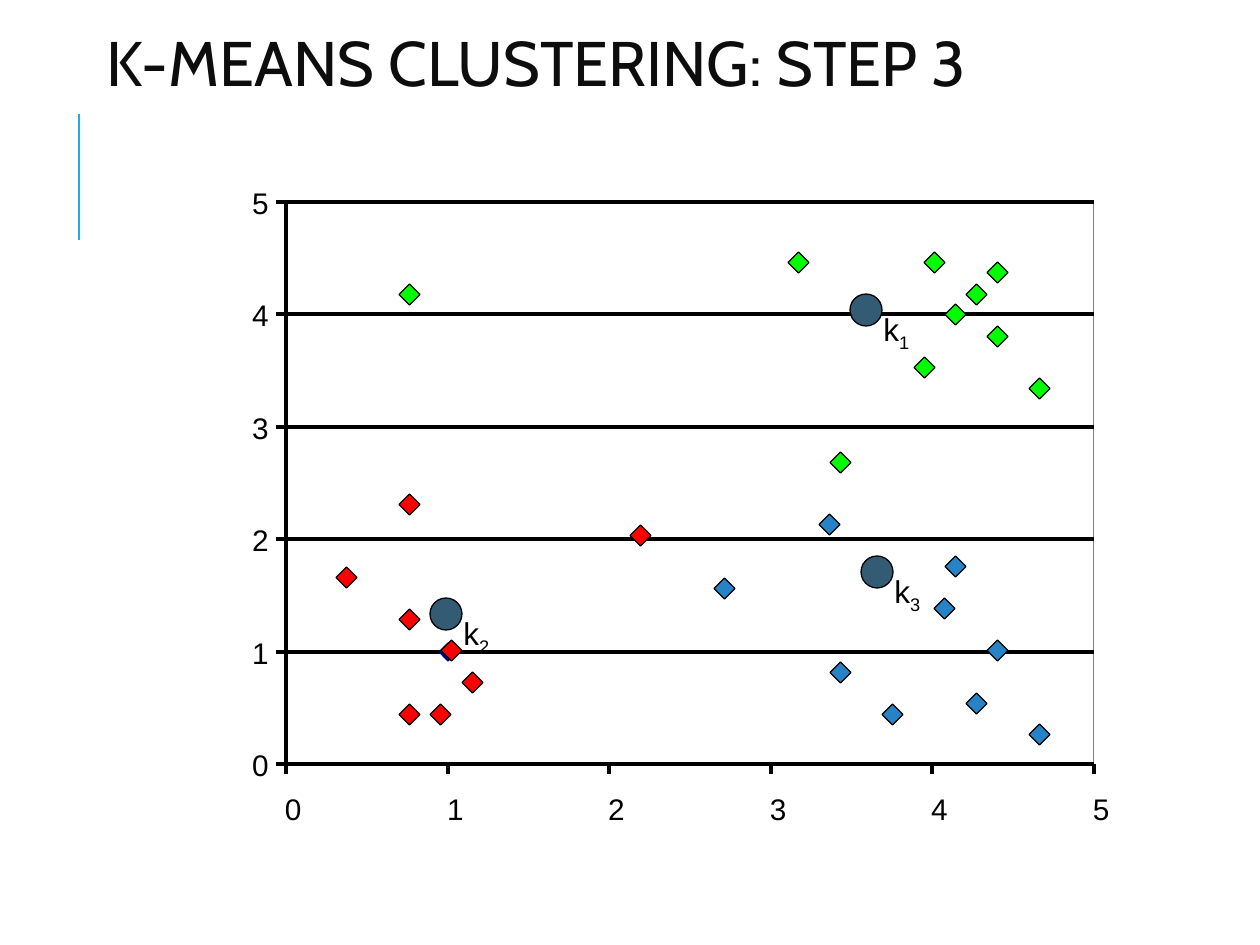
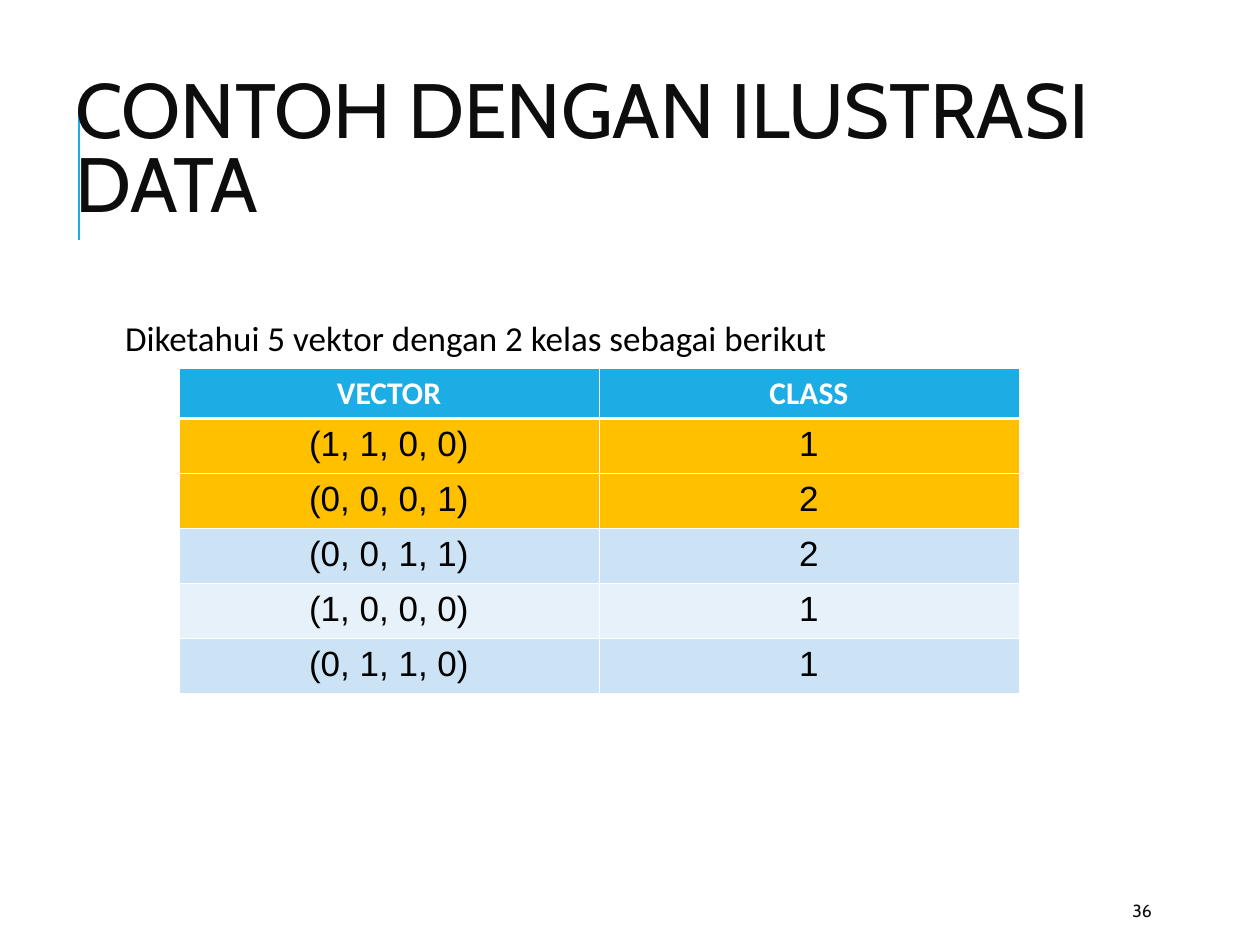
from lxml import etree
from pptx import Presentation
from pptx.dml.color import RGBColor
from pptx.enum import shapes as kinds, text
from pptx.oxml import ns
from pptx.util import Emu, Pt

BLACK = RGBColor(0, 0, 0)
WHITE = RGBColor(0xFF, 0xFF, 0xFF)
INK = RGBColor(0x0D, 0x0D, 0x0D)
ACCENT = RGBColor(0x1C, 0xAD, 0xE4)
FRAME_GREY = RGBColor(0x80, 0x80, 0x80)
NAVY = RGBColor(0, 0, 0x80)
SLATE = RGBColor(0x33, 0x5B, 0x74)
RED = RGBColor(0xFF, 0, 0)
GREEN = RGBColor(0, 0xFF, 0)
BLUE = RGBColor(0x26, 0x83, 0xC6)
AMBER = RGBColor(0xFF, 0xC0, 0)
BAND_DARK = RGBColor(0xCC, 0xE3, 0xF5)
BAND_LIGHT = RGBColor(0xE7, 0xF1, 0xFA)

PX_PER_INCH = 126
HAIRLINE = 0
DIAMOND = 21
CENTROID = 32
AXIS_STEPS = 5
TICK = 10

TITLE = {"name": "Cabin", "color": INK}
AXIS_FONT = {"name": "Arial", "size": 17, "color": BLACK}
LABEL_FONT = {"name": "Arial", "size": 18, "color": BLACK}
BODY_FONT = {"name": "Calibri", "size": 20, "color": BLACK}
NUMBER_FONT = {"name": "Cabin", "size": 10, "color": INK}
HEADER_FONT = {"name": "Calibri", "size": 18, "color": WHITE, "bold": True}
CELL_FONT = {"name": "Arial", "size": 20, "color": BLACK, "bold": False}

CLUSTERS = [
    (RED, [(155, 438), (176, 470), (144, 502), (113, 407), (113, 292),
           (113, 502), (50, 365), (344, 323)]),
    (GREEN, [(113, 82), (638, 50), (701, 60), (680, 82), (659, 102),
             (701, 124), (743, 176), (502, 50), (544, 250), (628, 155)]),
    (BLUE, [(544, 460), (596, 502), (648, 396), (533, 312), (428, 376),
            (701, 438), (680, 491), (659, 354), (743, 522)]),
]
CENTROIDS = [("1", 564, 92), ("2", 144, 396), ("3", 575, 354)]

VECTOR_ROWS = [
    ("VECTOR", "CLASS", ACCENT),
    ("(1, 1, 0, 0)", "1", AMBER),
    ("(0, 0, 0, 1)", "2", AMBER),
    ("(0, 0, 1, 1)", "2", BAND_DARK),
    ("(1, 0, 0, 0)", "1", BAND_LIGHT),
    ("(0, 1, 1, 0)", "1", BAND_DARK),
]


def px(length):
    """Turn pixels into EMU."""
    return Emu(round(length * 914400 / PX_PER_INCH))


def set_font(font, style):
    """Apply a dict of format values to a font."""
    for key, value in style.items():
        if key == "color":
            font.color.rgb = value
        else:
            setattr(font, key, Pt(value) if key == "size" else value)


def add_text(container, box, words, style, spacing=None, **frame_values):
    """Add a text box and return its paragraph."""
    frame = container.add_textbox(*map(px, box)).text_frame
    for key, value in {"word_wrap": True, **frame_values}.items():
        setattr(frame, key, value)
    paragraph = frame.paragraphs[0]
    paragraph.line_spacing = spacing
    run = paragraph.add_run()
    run.text = words
    set_font(run.font, style)
    return paragraph


def add_line(container, start, end, color=BLACK, width=HAIRLINE):
    """Add a straight line without shadow."""
    line = container.add_connector(
        kinds.MSO_CONNECTOR.STRAIGHT, *map(px, (*start, *end)))
    line.line.color.rgb = color
    line.line.width = Pt(width)
    etree.SubElement(line._element.spPr, ns.qn("a:effectLst"))


def add_preset(container, preset, box, fill, outline=BLACK, width=0.75):
    """Add a preset shape; a fill of None leaves it hollow."""
    shape = container.add_shape(preset, *map(px, box))
    shape.shadow.inherit = False
    if fill is None:
        shape.fill.background()
    else:
        shape.fill.solid()
        shape.fill.fore_color.rgb = fill
    shape.line.color.rgb = outline
    shape.line.width = Pt(width)


def add_titled_slide(presentation, box, words, size):
    """Add a blank slide with the accent rule and a title."""
    slide = presentation.slides.add_slide(presentation.slide_layouts[6])
    add_line(slide.shapes, (79, 240), (79, 114), ACCENT, 1.5)
    add_text(slide.shapes, box, words, {**TITLE, "size": size}, 0.8,
             vertical_anchor=text.MSO_ANCHOR.MIDDLE)
    return slide


def add_axes(container, box):
    """Draw the frame, grid lines, ticks and axis numbers."""
    left, top, width, height = box
    right, bottom = left + width, top + height
    bare = dict.fromkeys(
        ("margin_left", "margin_top", "margin_right", "margin_bottom"), 0)
    bare["word_wrap"] = False
    add_preset(container, kinds.MSO_SHAPE.RECTANGLE, box, None, FRAME_GREY, 0.62)
    add_line(container, (left, top), (left, bottom))
    for value in range(AXIS_STEPS + 1):
        x = left + round(width * value / AXIS_STEPS)
        y = bottom - round(height * value / AXIS_STEPS)
        add_line(container, (left, y), (right, y))
        add_line(container, (left - TICK, y), (left, y))
        add_line(container, (x, bottom + TICK), (x, bottom))
        for corner in ((left - 34, y - 17), (x - 1, bottom + 27)):
            add_text(container, (*corner, 16, 35), str(value), AXIS_FONT, **bare)


def add_centroid(container, left, top, index):
    """Group a centroid disc with its subscripted label."""
    group = container.add_group_shape().shapes
    add_preset(group, kinds.MSO_SHAPE.OVAL,
               (left, top, CENTROID, CENTROID), SLATE)
    paragraph = add_text(group, (left + 21, top + 10, 73, 55), "k", LABEL_FONT)
    subscript = paragraph.add_run()
    subscript.text = index
    set_font(subscript.font, LABEL_FONT)
    subscript.font._element.set("baseline", "-25000")


def add_scatter(container, box):
    """Draw the axes, the centroids and the clustered points in the box."""
    left, top = box[:2]
    diamond = kinds.MSO_SHAPE.DIAMOND
    add_axes(container, box)
    add_preset(container, diamond, (left + 153, top + 441, 18, 18),
               NAVY, NAVY, 0.62)
    for index, x, y in CENTROIDS:
        add_centroid(container, left + x, top + y, index)
    for color, points in CLUSTERS:
        for x, y in points:
            add_preset(container, diamond,
                       (left + x, top + y, DIAMOND, DIAMOND), color)


def set_borders(cell, widths):
    """Give a cell white borders from a dict of side and width."""
    properties = cell._tc.get_or_add_tcPr()
    for position, (side, width) in enumerate(widths.items()):
        border = etree.Element(ns.qn(f"a:ln{side}"), w=str(Pt(width)))
        fill = etree.SubElement(border, ns.qn("a:solidFill"))
        etree.SubElement(fill, ns.qn("a:srgbClr"), val=str(WHITE))
        properties.insert(position, border)


def add_vector_table(container, box):
    """Add the table of vectors and their classes."""
    table = container.add_table(len(VECTOR_ROWS), 2, *map(px, box)).table
    table.first_row = table.horz_banding = False
    for row, (*values, color) in enumerate(VECTOR_ROWS):
        table.rows[row].height = px(55 if row else 50)
        for column, value in enumerate(values):
            cell = table.cell(row, column)
            cell.fill.solid()
            cell.fill.fore_color.rgb = color
            set_borders(cell, {"L": 0.45, "R": 0.45,
                               "T": 1.47 if row == 1 else 0.45,
                               "B": 0.45 if row else 1.47})
            paragraph = cell.text_frame.paragraphs[0]
            paragraph.alignment = text.PP_ALIGN.CENTER
            run = paragraph.add_run()
            run.text = value
            set_font(run.font, CELL_FONT if row else HEADER_FONT)


def build_clustering_slide(presentation):
    """Build the slide with the scatter of three clusters."""
    slide = add_titled_slide(presentation, (94, 32, 1071, 73),
                             "K-MEANS CLUSTERING: STEP 3", 36)
    add_scatter(slide.shapes, (286, 202, 808, 562))


def build_vector_slide(presentation):
    """Build the slide with the example vectors."""
    slide = add_titled_slide(presentation, (63, 97, 1134, 113),
                             "CONTOH DENGAN ILUSTRASI DATA", 44)
    add_text(slide.shapes, (106, 315, 1004, 554),
             "Diketahui 5 vektor dengan 2 kelas sebagai berikut", BODY_FONT, 0.9,
             margin_left=px(19), margin_right=px(6))
    add_text(slide.shapes, (1120, 892, 101, 38), "36", NUMBER_FONT,
             vertical_anchor=text.MSO_ANCHOR.MIDDLE)
    add_vector_table(slide.shapes, (179, 368, 840, 325))


def main():
    """Build and save the presentation."""
    presentation = Presentation()
    presentation.slide_width, presentation.slide_height = px(1260), px(945)
    build_clustering_slide(presentation)
    build_vector_slide(presentation)
    presentation.save("out.pptx")


if __name__ == "__main__":
    main()
